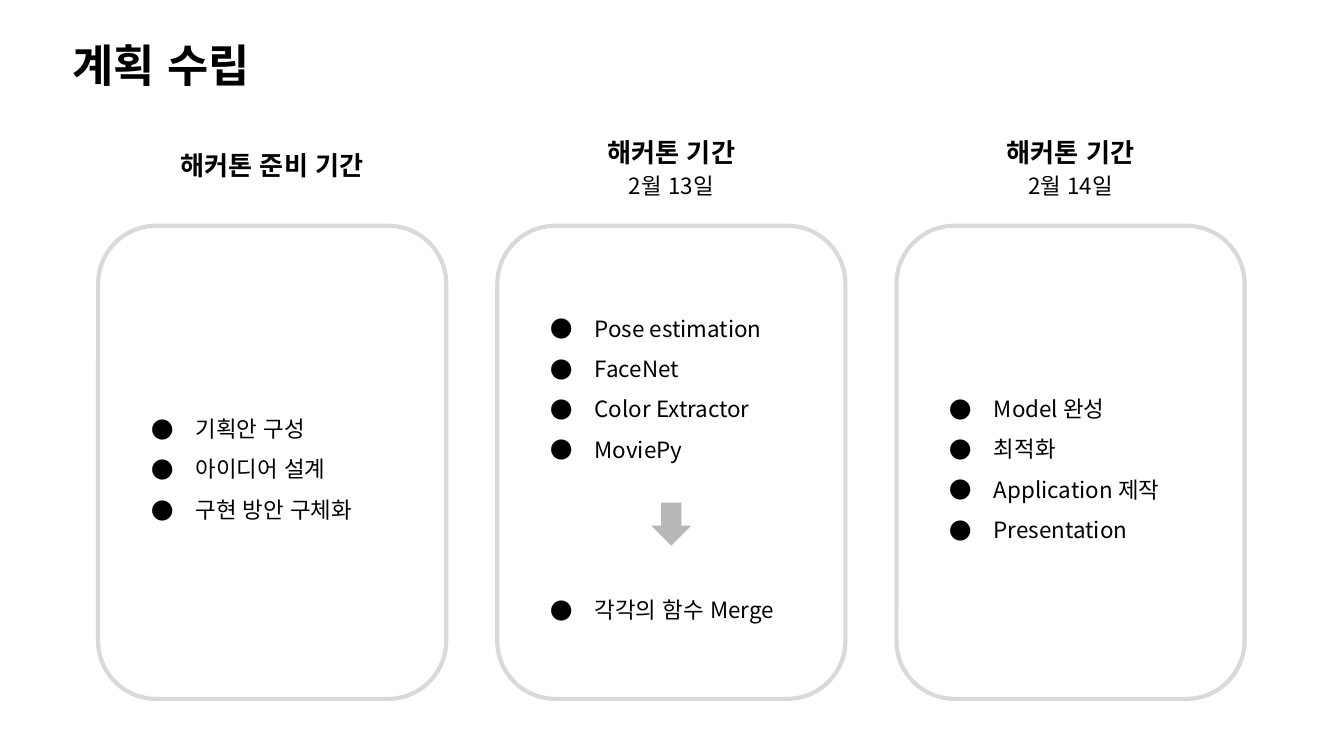
from lxml import etree
from pptx import Presentation
from pptx.dml.color import RGBColor
from pptx.enum.lang import MSO_LANGUAGE_ID
from pptx.enum.shapes import MSO_SHAPE
from pptx.enum.text import MSO_ANCHOR, PP_ALIGN
from pptx.oxml.ns import qn
from pptx.util import Inches, Pt

ROUNDED, DOWN_ARROW = MSO_SHAPE.ROUNDED_RECTANGLE, MSO_SHAPE.DOWN_ARROW
TOP, MIDDLE = MSO_ANCHOR.TOP, MSO_ANCHOR.MIDDLE
LEFT, CENTER = PP_ALIGN.LEFT, PP_ALIGN.CENTER
KOREAN = MSO_LANGUAGE_ID.KOREAN

BLACK = RGBColor(0x00, 0x00, 0x00)
CARD_LINE = RGBColor(0xD9, 0xD9, 0xD9)
ARROW_FILL = RGBColor(0xB7, 0xB7, 0xB7)
FONT = "Noto Sans CJK KR"

TITLE_TEXT = {"size": Pt(24), "bold": True}
HEADING_TEXT = {"size": Pt(14), "bold": True}
BODY_TEXT = {"size": Pt(12), "bold": False}

COLUMN_LEFT, COLUMN_PITCH, COLUMN_WIDTH = 0.73, 2.97, 2.59
HEADING_TOP, HEADING_HEIGHT = 0.91, 0.64
CARD_TOP, CARD_HEIGHT = 1.68, 3.52
ARROW_WIDTH, ARROW_HEIGHT, ARROW_OFFSET = 0.3, 0.32, 2.06
STEP_GAP = Pt(64.6)  # room for the arrow, three body lines

# Heading, date, bullet items, items after the arrow
COLUMNS = [
    ("해커톤 준비 기간", None, ["기획안 구성", "아이디어 설계", "구현 방안 구체화"], []),
    ("해커톤 기간", "2월 13일",
     ["Pose estimation", "FaceNet", "Color Extractor", "MoviePy"], ["각각의 함수 Merge"]),
    ("해커톤 기간", "2월 14일",
     ["Model 완성", "최적화", "Application 제작", "Presentation"], []),
]


def apply_format(target, values):
    for name, value in values.items():
        setattr(target, name, value)


def prepare_frame(shape, anchor):
    frame = shape.text_frame
    margins = dict.fromkeys(
        ("margin_left", "margin_top", "margin_right", "margin_bottom"), Inches(0.1))
    apply_format(frame, {"word_wrap": True, "vertical_anchor": anchor, **margins})
    return frame


def add_paragraph(frame, index, text, text_format, **paragraph_format):
    paragraph = frame.paragraphs[0] if index == 0 else frame.add_paragraph()
    apply_format(paragraph, paragraph_format)
    run = paragraph.add_run()
    run.text = text
    apply_format(run.font, {"name": FONT, "language_id": KOREAN, **text_format})
    run.font.color.rgb = BLACK
    for tag in ("a:ea", "a:cs", "a:sym"):
        etree.SubElement(run.font._element, qn(tag)).set("typeface", FONT)
    return paragraph


def add_bullet(paragraph):
    properties = paragraph._p.get_or_add_pPr()
    properties.set("marL", str(Inches(0.5)))
    properties.set("indent", str(Inches(-0.33)))
    color = etree.SubElement(properties, qn("a:buClr"))
    etree.SubElement(color, qn("a:srgbClr")).set("val", str(BLACK))
    etree.SubElement(properties, qn("a:buFont")).set("typeface", FONT)
    etree.SubElement(properties, qn("a:buChar")).set("char", "●")


def add_text_box(slide, left, top, width, height, lines, anchor, **paragraph_format):
    box = slide.shapes.add_textbox(Inches(left), Inches(top), Inches(width), Inches(height))
    frame = prepare_frame(box, anchor)
    for index, (text, text_format) in enumerate(lines):
        add_paragraph(frame, index, text, text_format, **paragraph_format)


def add_heading(slide, left, top, width, height, heading, date):
    lines = [(heading, HEADING_TEXT)]
    if date:
        lines.append((date, BODY_TEXT))
    spacing = 1.15 if date else 1.0
    add_text_box(slide, left, top, width, height, lines, MIDDLE,
                 alignment=CENTER, line_spacing=spacing)


def add_card(slide, left, top, width, height, items, later_items):
    card = slide.shapes.add_shape(
        ROUNDED, Inches(left), Inches(top), Inches(width), Inches(height))
    card.shadow.inherit = False
    card.fill.background()
    card.line.color.rgb = CARD_LINE
    card.line.width = Pt(2.25)

    # Bulleted steps, with a gap where the arrow goes
    frame = prepare_frame(card, MIDDLE)
    for index, item in enumerate(items + later_items):
        gap = STEP_GAP if index == len(items) else Pt(0)
        paragraph = add_paragraph(frame, index, item, BODY_TEXT, alignment=LEFT,
                                  line_spacing=1.5, space_before=gap)
        add_bullet(paragraph)

    # Arrow between the two groups of steps
    if later_items:
        arrow = slide.shapes.add_shape(
            DOWN_ARROW, Inches(left + (width - ARROW_WIDTH) / 2), Inches(top + ARROW_OFFSET),
            Inches(ARROW_WIDTH), Inches(ARROW_HEIGHT))
        arrow.shadow.inherit = False
        arrow.fill.solid()
        arrow.fill.fore_color.rgb = ARROW_FILL
        arrow.line.fill.background()


def main():
    presentation = Presentation()
    presentation.slide_width = Inches(10)
    presentation.slide_height = Inches(10) * 9 // 16
    slide = presentation.slides.add_slide(presentation.slide_layouts[6])

    # Title
    add_text_box(slide, 0.44, 0.18, 2.59, 0.61, [("계획 수립", TITLE_TEXT)], TOP)

    # One column per period
    for index, (heading, date, items, later_items) in enumerate(COLUMNS):
        left = COLUMN_LEFT + index * COLUMN_PITCH
        add_heading(slide, left, HEADING_TOP, COLUMN_WIDTH, HEADING_HEIGHT, heading, date)
        add_card(slide, left, CARD_TOP, COLUMN_WIDTH, CARD_HEIGHT, items, later_items)

    presentation.save("out.pptx")


if __name__ == "__main__":
    main()
